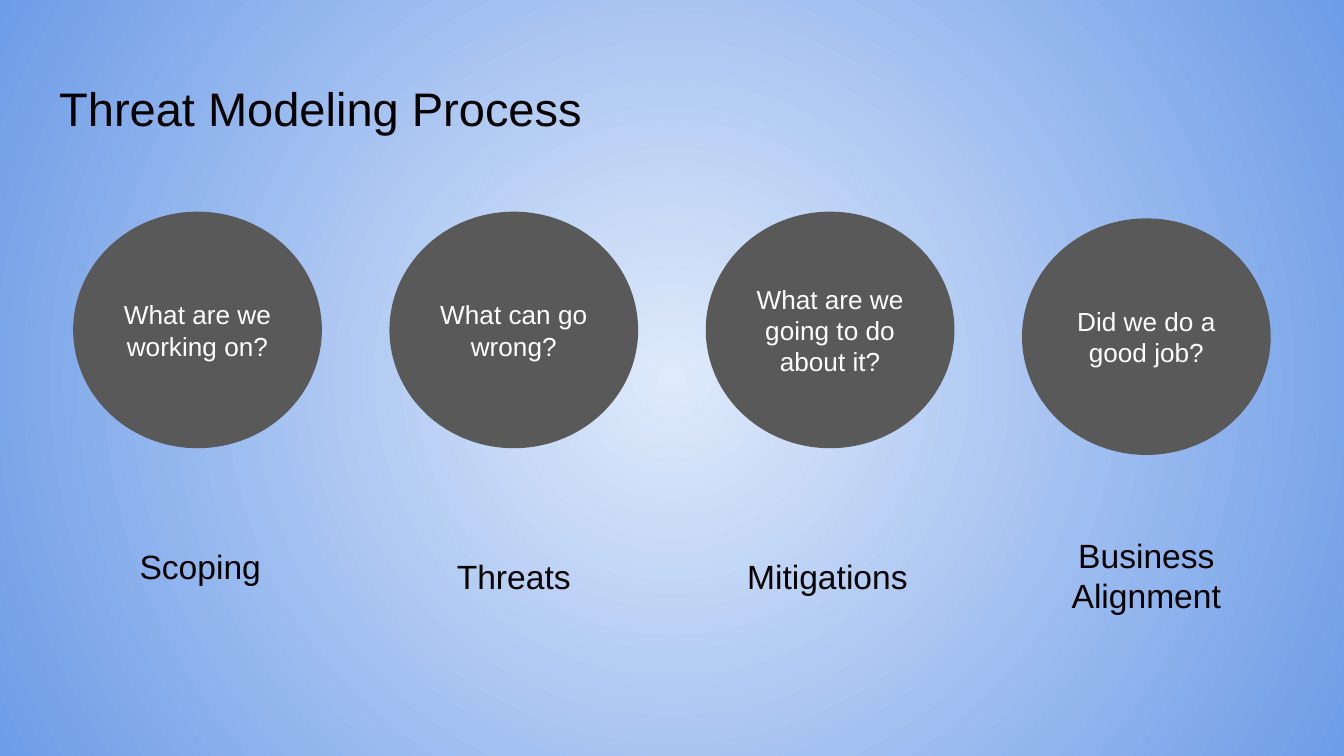
from lxml import etree
from pptx import Presentation
from pptx.dml.color import RGBColor
from pptx.enum.shapes import MSO_SHAPE
from pptx.enum.text import MSO_ANCHOR, MSO_AUTO_SIZE, PP_ALIGN
from pptx.oxml.ns import qn
from pptx.util import Inches, Pt

BLACK, WHITE, GRAY = "000000", "FFFFFF", "595959"
CENTER_BLUE, EDGE_BLUE = "DFEAFB", "6E9CE7"
FIRST_LEFT, LAST_LEFT, STEP_WIDTH = 0.55, 7.61, 1.84

# question, circle top, stage, stage top, stage offset from its circle
STEPS = [
    ("What are we working on?", 1.58, "Scoping", 3.96, 0.02),
    ("What can go wrong?", 1.58, "Threats", 4.04, 0),
    ("What are we going to do about it?", 1.58, "Mitigations", 4.04, -0.02),
    ("Did we do a good job?", 1.63, "Business Alignment", 3.88, 0),
]
STEP_PITCH = (LAST_LEFT - FIRST_LEFT) / (len(STEPS) - 1)


def color(value):
    return RGBColor.from_string(value)


def set_text(shape, text, size, text_color, align, anchor):
    frame = shape.text_frame
    frame.text = text
    frame.word_wrap = True
    frame.auto_size = MSO_AUTO_SIZE.NONE
    frame.vertical_anchor = anchor
    frame.margin_left = frame.margin_right = Inches(0.1)
    frame.margin_top = frame.margin_bottom = Inches(0.1)
    paragraph = frame.paragraphs[0]
    paragraph.alignment = align
    paragraph.font.name = "Arial"
    paragraph.font.size = Pt(size)
    paragraph.font.color.rgb = color(text_color)


def set_radial_background(slide):
    fill = slide.background.fill
    fill.gradient()
    for stop, value, position in zip(fill.gradient_stops, (CENTER_BLUE, EDGE_BLUE), (0, 1)):
        stop.color.rgb = color(value)
        stop.position = position
    # Turn the linear gradient into a circular one around the slide centre
    gradient = slide.element.find(".//" + qn("a:gradFill"))
    gradient.remove(gradient.find(qn("a:lin")))
    circle = etree.SubElement(gradient, qn("a:path"))
    circle.set("path", "circle")
    focus = etree.SubElement(circle, qn("a:fillToRect"))
    for side in "ltrb":
        focus.set(side, "50000")


def set_title(slide, text):
    title = slide.shapes.title
    title.left, title.top = Inches(0.34), Inches(0.49)
    title.width, title.height = Inches(9.32), Inches(0.63)
    set_text(title, text, 25.2, BLACK, PP_ALIGN.LEFT, MSO_ANCHOR.TOP)


def add_question(slide, text, left, top):
    circle = slide.shapes.add_shape(
        MSO_SHAPE.OVAL, Inches(left), Inches(top), Inches(STEP_WIDTH), Inches(1.75))
    circle.shadow.inherit = False
    circle.fill.solid()
    circle.fill.fore_color.rgb = color(GRAY)
    circle.line.color.rgb = color(GRAY)
    circle.line.width = Pt(0.75)
    set_text(circle, text, 14, WHITE, PP_ALIGN.CENTER, MSO_ANCHOR.MIDDLE)


def add_stage(slide, text, left, top):
    stage = slide.shapes.add_textbox(
        Inches(left), Inches(top), Inches(STEP_WIDTH), Inches(0.43))
    set_text(stage, text, 18, BLACK, PP_ALIGN.CENTER, MSO_ANCHOR.TOP)


def main():
    presentation = Presentation()
    # Widescreen, 16:9
    presentation.slide_width = Inches(10)
    presentation.slide_height = Inches(10) * 9 // 16
    slide = presentation.slides.add_slide(presentation.slide_layouts[5])
    set_radial_background(slide)
    set_title(slide, "Threat Modeling Process")

    # Four steps: a question in a circle, its stage name below
    for index, (question, circle_top, stage, stage_top, offset) in enumerate(STEPS):
        left = FIRST_LEFT + index * STEP_PITCH
        add_question(slide, question, left, circle_top)
        add_stage(slide, stage, left + offset, stage_top)

    presentation.save("out.pptx")


if __name__ == "__main__":
    main()
